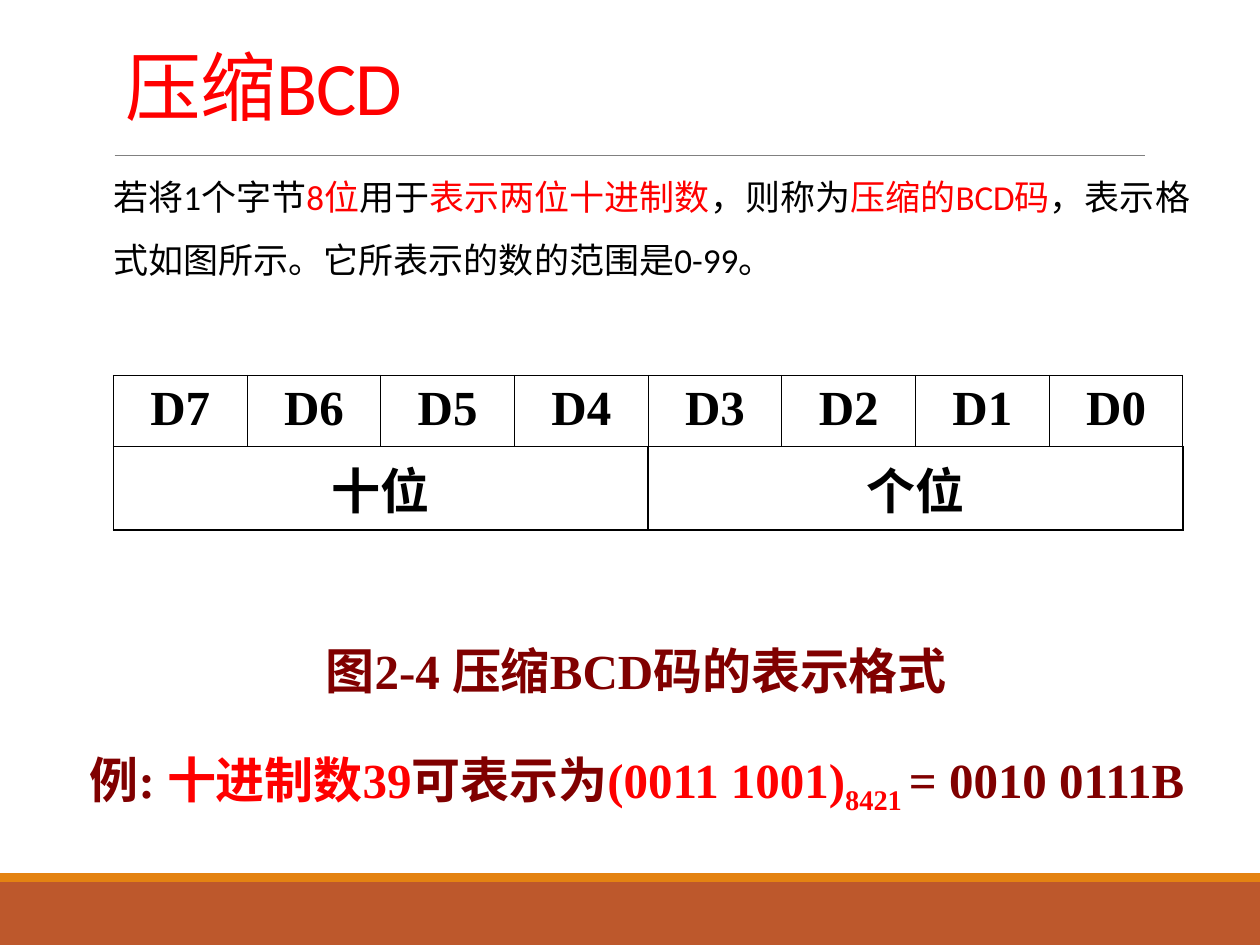
from dataclasses import dataclass
from typing import NamedTuple

from lxml.etree import SubElement
from pptx import Presentation
from pptx.dml.color import RGBColor
from pptx.enum.shapes import MSO_CONNECTOR as Conn, MSO_SHAPE as Shape
from pptx.enum.text import MSO_ANCHOR as Anchor, MSO_AUTO_SIZE as AutoSize, PP_ALIGN as Align
from pptx.oxml.ns import qn
from pptx.util import Inches, Pt


@dataclass(frozen=True)
class Theme:
    black: str = "000000"
    red: str = "FF0000"
    maroon: str = "800000"
    rust: str = "BD582C"
    orange: str = "E48312"
    gray: str = "808080"
    sans: str = "Calibri"
    serif: str = "Times New Roman"
    title: float = 43.2
    body: float = 20
    label: float = 28


class Run(NamedTuple):
    text: str
    color: str
    baseline: int = 0


class Box(NamedTuple):
    left: float
    top: float
    width: float
    height: float

    def lengths(self) -> list:
        return [Inches(v) for v in self]


T = Theme()


def write(tf, runs: list[Run], *, font=T.serif, size=T.label, bold=True, align=Align.CENTER,
          line_spacing=None, space_after=None, left=0, indent=0, spacing=0) -> None:
    p = tf.paragraphs[0]
    p.alignment = align
    if line_spacing:
        p.line_spacing = line_spacing
    if space_after:
        p.space_after = Pt(space_after)
    if left:
        pPr = p._p.get_or_add_pPr()
        pPr.set("marL", str(Inches(left)))
        pPr.set("indent", str(Inches(indent)))
    for run in runs:
        r = p.add_run()
        r.text = run.text
        r.font.name, r.font.size, r.font.bold = font, Pt(size), bold
        r.font.color.rgb = RGBColor.from_string(run.color)
        rPr = r._r.get_or_add_rPr()
        if run.baseline:
            rPr.set("baseline", str(run.baseline * 1000))
        if spacing:
            rPr.set("spc", str(int(spacing * 100)))


def add_text(s, box: Box, runs: list[Run], *, anchor=Anchor.TOP, wrap=True, grow=False,
             inset=0.1, **fmt) -> None:
    tf = s.shapes.add_textbox(*box.lengths()).text_frame
    tf.word_wrap = wrap
    tf.auto_size = AutoSize.SHAPE_TO_FIT_TEXT if grow else AutoSize.NONE
    tf.vertical_anchor = anchor
    tf.margin_left = tf.margin_right = Inches(inset)
    write(tf, runs, **fmt)


def add_band(s, box: Box, color: str) -> None:
    sp = s.shapes.add_shape(Shape.RECTANGLE, *box.lengths())
    sp.shadow.inherit = False
    sp.fill.solid()
    sp.fill.fore_color.rgb = RGBColor.from_string(color)
    sp.line.fill.background()


def add_rule(s, x1: float, x2: float, y: float) -> None:
    line = s.shapes.add_connector(Conn.STRAIGHT, Inches(x1), Inches(y), Inches(x2), Inches(y))
    line.line.color.rgb = RGBColor.from_string(T.gray)
    line.line.width = Pt(0.5)
    SubElement(line._element.spPr, qn("a:effectLst"))


def style_cell(cell, width: float, bottom: float) -> None:
    tcPr = cell._tc.get_or_add_tcPr()
    for side in ("L", "R", "T", "B"):
        ln = SubElement(tcPr, qn(f"a:ln{side}"), w=str(Pt(bottom if side == "B" else width)))
        fill = SubElement(ln, qn("a:solidFill"))
        SubElement(fill, qn("a:srgbClr"), val=T.black)
    cell.fill.background()


def add_bit_table(s, box: Box, bits: int, digits: list[str]) -> None:
    table = s.shapes.add_table(2, bits, *box.lengths()).table
    table.first_row = table.horz_banding = False
    for col in table.columns:
        col.width = Inches(box.width / bits)
    span = bits // len(digits)
    for i in range(bits):
        style_cell(table.cell(0, i), 0.75, 1)
        style_cell(table.cell(1, i), 1, 1)
        write(table.cell(0, i).text_frame, [Run(f"D{bits - 1 - i}", T.black)])
    for i, digit in enumerate(digits):
        cell = table.cell(1, i * span)
        cell.merge(table.cell(1, (i + 1) * span - 1))
        write(cell.text_frame, [Run(digit, T.black)])


def main() -> None:
    prs = Presentation()
    prs.slide_width, prs.slide_height = Inches(10), Inches(7.5)
    s = prs.slides.add_slide(prs.slide_layouts[6])

    add_band(s, Box(0, 7, 10, 0.5), T.rust)
    add_band(s, Box(0, 6.93, 10, 0.07), T.orange)
    add_rule(s, 0.91, 9.09, 1.23)
    add_bit_table(s, Box(0.9, 2.98, 8.49, 1.13), 8, ["十位", "个位"])
    add_text(s, Box(2.32, 5.03, 5.46, 0.57), [Run("图2-4 压缩BCD码的表示格式", T.maroon)],
             anchor=Anchor.MIDDLE, grow=True)
    add_text(s, Box(0.9, 0.54, 8.1, 0.55), [Run("压缩BCD", T.red)],
             anchor=Anchor.BOTTOM, font=T.sans, size=T.title, bold=False, align=Align.LEFT,
             line_spacing=0.85, left=0.38, indent=-0.38, spacing=-0.5)
    add_text(s, Box(0.41, 1.18, 9.27, 2.02), [
        Run("若将1个字节", T.black),
        Run("8位", T.red),
        Run("用于", T.black),
        Run("表示两位十进制数", T.red),
        Run("，则称为", T.black),
        Run("压缩的BCD码", T.red),
        Run("，表示格式如图所示。它所表示的数的范围是0-99。", T.black),
    ], inset=0, font=T.sans, size=T.body, bold=False, align=Align.LEFT,
        line_spacing=1.5, space_after=2, left=0.49)
    add_text(s, Box(0.51, 5.9, 9.09, 0.57), [
        Run("例: ", T.maroon),
        Run("十进制数39", T.red),
        Run("可表示为", T.maroon),
        Run("(0011 1001)", T.red),
        Run("8421 ", T.red, -25),
        Run("= 0010 0111B", T.maroon),
    ], wrap=False, grow=True)
    prs.save("out.pptx")


if __name__ == "__main__":
    main()
